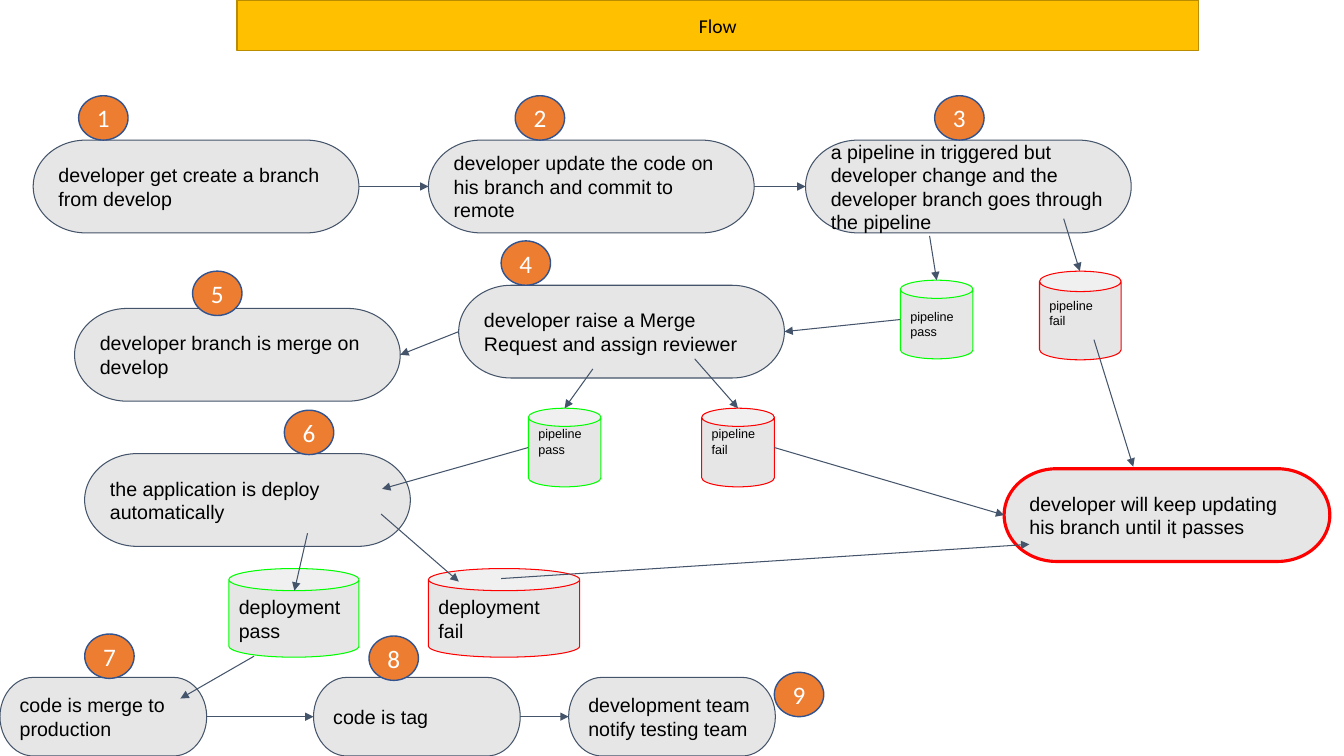
from dataclasses import dataclass

from lxml import etree
from pptx import Presentation
from pptx.dml.color import RGBColor
from pptx.enum.shapes import MSO_CONNECTOR, MSO_SHAPE
from pptx.enum.text import MSO_ANCHOR, MSO_AUTO_SIZE, PP_ALIGN
from pptx.oxml.ns import qn
from pptx.util import Inches, Pt

TERMINATOR = MSO_SHAPE.FLOWCHART_TERMINATOR
CAN = MSO_SHAPE.CAN
OVAL = MSO_SHAPE.OVAL
STRAIGHT = MSO_CONNECTOR.STRAIGHT
TOP, MIDDLE = MSO_ANCHOR.TOP, MSO_ANCHOR.MIDDLE
LEFT, CENTER = PP_ALIGN.LEFT, PP_ALIGN.CENTER
NO_AUTOFIT = MSO_AUTO_SIZE.NONE
LEFT_SITE, RIGHT_SITE = 1, 3
TITLE_ONLY = 5


@dataclass(frozen=True)
class Theme:
    banner: str = "FFC000"
    banner_edge: str = "BA8C00"
    node: str = "E7E6E6"
    edge: str = "44546A"
    passed: str = "00FF00"
    failed: str = "FF0000"
    badge: str = "ED7D31"
    badge_edge: str = "31538F"
    ink: str = "000000"
    badge_ink: str = "FFFFFF"
    node_font: str = "Arial"
    accent_font: str = "Calibri"
    body_size: int = 14
    small_size: int = 9
    badge_size: int = 18
    thin: float = 0.75
    medium: float = 1
    thick: float = 2.25


THEME = Theme()
STEP_SIZE = (3.23, 0.92)
RELEASE_SIZE = (2.05, 0.78)
CHECK_SIZE = (0.72, 0.78)
BADGE_SIZE = (0.49, 0.44)

STEPS = {
    "branch": (0.33, 1.39, "developer get create a branch from develop"),
    "commit": (4.25, 1.39, "developer update the code on his branch and commit to remote"),
    "pipeline": (7.99, 1.39, "a pipeline in triggered but developer change and the "
                             "developer branch goes through the pipeline"),
    "request": (4.55, 2.83, "developer raise a Merge Request and assign reviewer"),
    "merge": (0.74, 3.06, "developer branch is merge on develop"),
    "deploy": (0.84, 4.5, "the application is deploy automatically"),
}
RELEASES = {
    "production": (0, 6.72, "code is merge to production"),
    "tag": (3.11, 6.72, "code is tag"),
    "notify": (5.64, 6.72, "development team notify testing team"),
}
PIPELINE_CHECKS = [
    (8.93, 2.78, CHECK_SIZE, "pass", MIDDLE, 0.1),
    (10.31, 2.69, (0.81, 0.88), "fail", TOP, 0.06),
    (5.24, 4.05, CHECK_SIZE, "pass", TOP, 0),
    (6.96, 4.05, CHECK_SIZE, "fail", TOP, 0),
]
DEPLOYMENT_CHECKS = [
    (2.27, 5.64, (1.29, 0.88), "pass"),
    (4.25, 5.64, (1.5, 0.88), "fail"),
]
SEQUENCES = [
    ("branch", "commit", RIGHT_SITE, LEFT_SITE),
    ("commit", "pipeline", RIGHT_SITE, LEFT_SITE),
    ("request", "merge", LEFT_SITE, RIGHT_SITE),
    ("production", "tag", RIGHT_SITE, LEFT_SITE),
    ("tag", "notify", RIGHT_SITE, LEFT_SITE),
]
BRANCHES = [
    (9.22, 2.34, 9.29, 2.78),
    (10.55, 2.17, 10.71, 2.69),
    (10.85, 3.37, 11.24, 4.63),
    (8.93, 3.17, 7.78, 3.29),
    (5.88, 3.66, 5.6, 4.05),
    (6.89, 3.56, 7.32, 4.05),
    (7.68, 4.44, 9.96, 5.11),
    (5.24, 4.44, 3.79, 4.85),
    (3.05, 5.29, 2.92, 5.86),
    (3.78, 5.1, 4.55, 5.77),
    (4.97, 5.74, 10.21, 5.4),
    (2.52, 6.51, 1.79, 6.93),
]
BADGES = [
    (0.78, 0.95), (5.11, 0.95), (9.27, 0.95),
    (4.97, 2.39), (1.91, 2.69), (2.82, 4.07),
    (0.84, 6.29), (3.66, 6.31), (7.68, 6.67),
]


def apply(target, values):
    for name, value in values.items():
        setattr(target, name, value)


def paint(shape, fill, edge, width):
    shape.fill.solid()
    shape.fill.fore_color.rgb = RGBColor.from_string(fill)
    shape.line.color.rgb = RGBColor.from_string(edge)
    shape.line.width = Pt(width)
    shape.shadow.inherit = False


def write(shape, text, size, font=THEME.node_font, ink=THEME.ink,
          align=LEFT, anchor=MIDDLE, pad_top=0.1, pad_bottom=0.1):
    frame = shape.text_frame
    frame.text = text
    apply(frame, {
        "word_wrap": True, "auto_size": NO_AUTOFIT, "vertical_anchor": anchor,
        "margin_left": Inches(0.1), "margin_right": Inches(0.1),
        "margin_top": Inches(pad_top), "margin_bottom": Inches(pad_bottom),
    })
    paragraph = frame.paragraphs[0]
    apply(paragraph, {"alignment": align, "line_spacing": 1.0,
                      "space_before": Pt(0)})
    apply(paragraph.font, {"name": font, "size": Pt(size)})
    paragraph.font.color.rgb = RGBColor.from_string(ink)


def add_box(slide, kind, left, top, size, fill, edge, width):
    box = slide.shapes.add_shape(kind, *map(Inches, (left, top, *size)))
    paint(box, fill, edge, width)
    return box


def add_banner(slide, text):
    banner = slide.shapes.title
    apply(banner, {"left": Inches(2.35), "top": Inches(0),
                   "width": Inches(9.54), "height": Inches(0.5)})
    outline = etree.SubElement(banner.element.spPr, qn("a:prstGeom"), prst="roundRect")
    etree.SubElement(outline, qn("a:avLst"))
    paint(banner, THEME.banner, THEME.banner_edge, THEME.medium)
    write(banner, text, THEME.body_size, THEME.accent_font,
          align=CENTER, pad_top=0.05, pad_bottom=0.05)


def add_step(slide, left, top, text, size=STEP_SIZE, edge=THEME.edge, width=THEME.thin):
    step = add_box(slide, TERMINATOR, left, top, size, THEME.node, edge, width)
    write(step, text, THEME.body_size)
    return step


def add_check(slide, left, top, size, subject, result, text_size, **layout):
    edge = THEME.passed if result == "pass" else THEME.failed
    check = add_box(slide, CAN, left, top, size, THEME.node, edge, THEME.thin)
    write(check, f"{subject} {result}", text_size, **layout)


def add_badge(slide, left, top, number):
    badge = add_box(slide, OVAL, left, top, BADGE_SIZE,
                    THEME.badge, THEME.badge_edge, THEME.medium)
    write(badge, str(number), THEME.badge_size, THEME.accent_font,
          THEME.badge_ink, CENTER, pad_top=0.05, pad_bottom=0.05)


def add_arrow(slide, *ends):
    arrow = slide.shapes.add_connector(STRAIGHT, *map(Inches, ends))
    arrow.line.color.rgb = RGBColor.from_string(THEME.edge)
    arrow.line.width = Pt(THEME.thin)
    properties = arrow.element.spPr
    etree.SubElement(properties.find(qn("a:ln")), qn("a:tailEnd"), type="triangle")
    etree.SubElement(properties, qn("a:effectLst"))
    return arrow


def main():
    deck = Presentation()
    apply(deck, {"slide_width": Inches(13.33), "slide_height": Inches(7.5)})
    slide = deck.slides.add_slide(deck.slide_layouts[TITLE_ONLY])
    add_banner(slide, "Flow")

    steps = {key: add_step(slide, *step) for key, step in STEPS.items()}
    for key, release in RELEASES.items():
        steps[key] = add_step(slide, *release, size=RELEASE_SIZE)
    add_step(slide, 9.96, 4.65, "developer will keep updating his branch until it passes",
             edge=THEME.failed, width=THEME.thick)

    for left, top, size, result, anchor, pad_top in PIPELINE_CHECKS:
        add_check(slide, left, top, size, "pipeline", result, THEME.small_size,
                  anchor=anchor, pad_top=pad_top)
    for left, top, size, result in DEPLOYMENT_CHECKS:
        add_check(slide, left, top, size, "deployment", result, THEME.body_size)

    for source, target, exit_site, entry_site in SEQUENCES:
        arrow = add_arrow(slide, 0, 0, 0, 0)
        arrow.begin_connect(steps[source], exit_site)
        arrow.end_connect(steps[target], entry_site)
    for ends in BRANCHES:
        add_arrow(slide, *ends)
    for number, (left, top) in enumerate(BADGES, start=1):
        add_badge(slide, left, top, number)

    deck.save("out.pptx")


if __name__ == "__main__":
    main()
